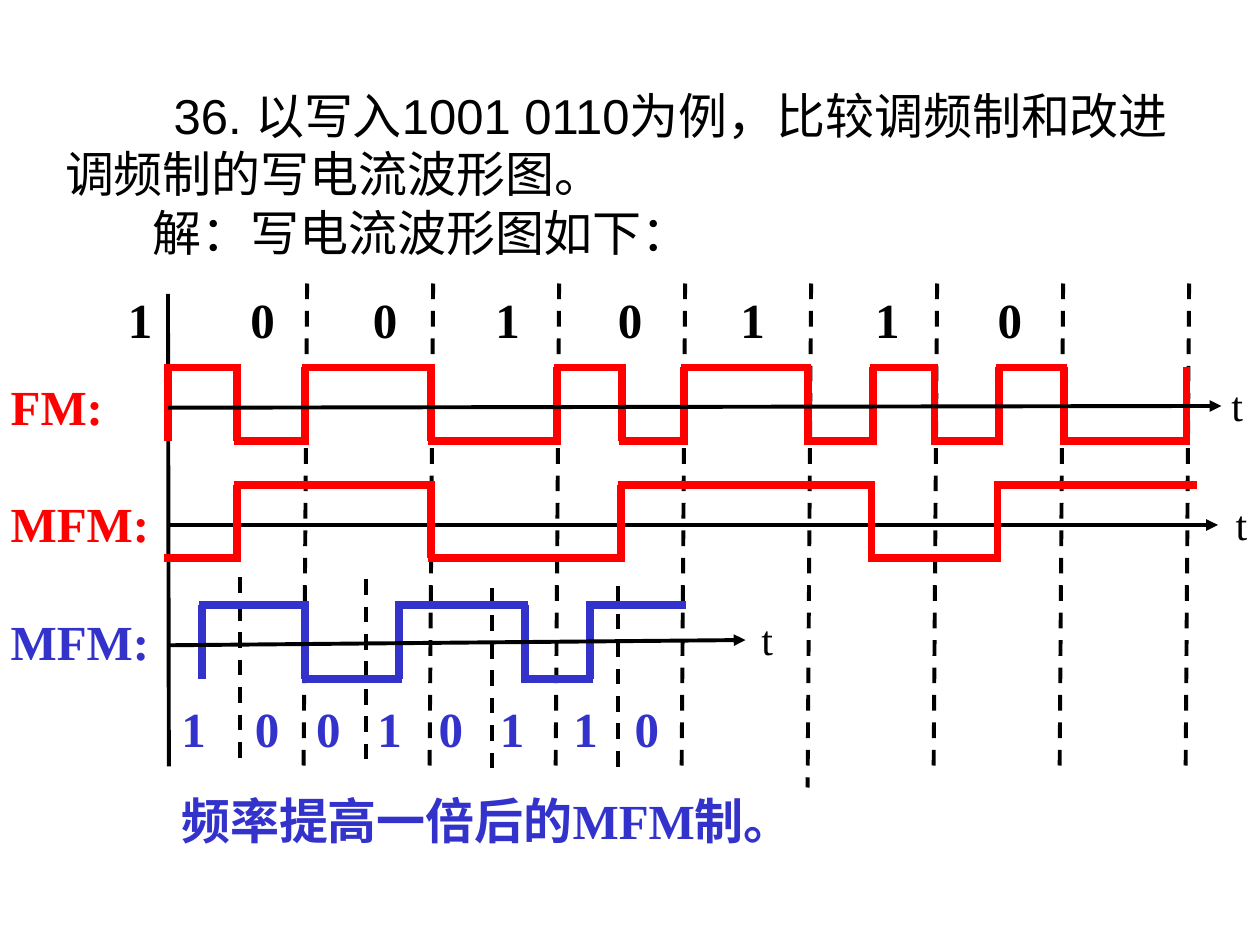
import pptx
import pptx.dml.color
import pptx.enum.dml
import pptx.enum.shapes
import pptx.enum.text
import pptx.oxml.ns
import pptx.util
from lxml import etree

Pt = pptx.util.Pt
qn = pptx.oxml.ns.qn

COLOURS = {"ink": "000000", "red": "FF0000", "blue": "3333CC"}
SERIF = "Times New Roman"
BITS = "10010110"
CELL = 72


def rgb(name):
    return pptx.dml.color.RGBColor.from_string(COLOURS[name])


def write_text(frame, text, size=28, font=SERIF, colour="ink", bold=False,
               indent=0, before=0):
    """Write one paragraph, filling the frame's empty first one if there is one."""
    para = frame.paragraphs[0]
    if para.runs:
        para = frame.add_paragraph()
    para.alignment = pptx.enum.text.PP_ALIGN.LEFT
    para.space_before = Pt(before)
    properties = para._p.get_or_add_pPr()
    properties.set("marL", "0")
    properties.set("indent", str(Pt(indent)))
    span = para.add_run()
    span.text = text
    span.font.size = Pt(size)
    span.font.name = font
    span.font.bold = bold
    span.font.color.rgb = rgb(colour)


def add_frame(page, box, wrap=True):
    frame = page.shapes.add_textbox(*map(Pt, box)).text_frame
    frame.word_wrap = wrap
    frame.auto_size = pptx.enum.text.MSO_AUTO_SIZE.SHAPE_TO_FIT_TEXT
    return frame


def add_line(page, start, end, colour="ink", width=2.25, dashed=False, arrow=False):
    line = page.shapes.add_connector(
        pptx.enum.shapes.MSO_CONNECTOR.STRAIGHT, *map(Pt, (*start, *end)))
    line.line.color.rgb = rgb(colour)
    line.line.width = Pt(width)
    if dashed:
        line.line.dash_style = pptx.enum.dml.MSO_LINE.DASH
    if arrow:
        etree.SubElement(line.line._get_or_add_ln(), qn("a:tailEnd"), type="triangle")
    etree.SubElement(line._element.spPr, qn("a:effectLst"))


def add_title(page, box):
    title = page.shapes.title
    title.left, title.top, title.width, title.height = map(Pt, box)
    frame = title.text_frame
    frame.word_wrap = True
    frame.auto_size = pptx.enum.text.MSO_AUTO_SIZE.NONE
    frame.vertical_anchor = pptx.enum.text.MSO_ANCHOR.MIDDLE
    write_text(frame, "36. 以写入1001 0110为例，比较调频制和改进调频制的写电流波形图。",
               font="Arial", indent=62)
    write_text(frame, "解：写电流波形图如下：", font="Arial", indent=50)


def add_grid(page, box):
    """Draw the time origin, the bit cell borders and the half cell borders."""
    left, top, width, height = box
    add_line(page, (left, top + 6), (left + 0.5, top + 276))
    overhangs = (-6, -6, 0, 0, 6, 0, 0, 0)
    for number, overhang in enumerate(overhangs):
        x = left + 79.5 + number * CELL
        add_line(page, (x, top), (x - 2, top + height + overhang), dashed=True)
    for number, drop in enumerate((168, 169, 174, 173)):
        x = left + 41 + number * CELL
        add_line(page, (x, top + drop), (x, top + drop + 108), dashed=True)


def add_wave(page, box, edges, colour, high=True, opening=False, closing=False):
    """Draw a square wave whose level flips at each of the edges, measured from the left."""
    left, top, _, height = box
    overlap = 2
    if opening:
        add_line(page, (left + edges[0], top), (left + edges[0], top + height), colour, 4.5)
    for start, end in zip(edges, edges[1:]):
        y = top if high else top + height
        add_line(page, (left + start - overlap, y), (left + end + overlap, y), colour, 4.5)
        high = not high
        if end != edges[-1] or closing:
            add_line(page, (left + end, top), (left + end, top + height), colour, 4.5)


def add_axis(page, box, rise=0, gap=2):
    """Draw a time axis through the middle of the box, with its letter after the arrow."""
    left, top, width, height = box
    middle = top + height / 2 + 2
    add_line(page, (left, middle), (left + width, middle - rise), arrow=True)
    frame = add_frame(page, (left + width + gap, middle - rise - 18.5, 21, 36), wrap=False)
    write_text(frame, "t", size=24)


def add_labels(page, box):
    frame = add_frame(page, box)
    for text, colour, before in (("FM:", "red", 0), ("MFM:", "red", 33.5), ("MFM:", "blue", 33.5)):
        write_text(frame, text, colour=colour, bold=True, before=before)


def add_bits(page, box, offsets, colour="ink"):
    """Place each bit at its own offset from the left of the box."""
    left, top, _, height = box
    for bit, offset in zip(BITS, offsets):
        frame = add_frame(page, (left + offset, top, 29, height), wrap=False)
        write_text(frame, bit, colour=colour, bold=True)


def add_caption(page, box):
    frame = add_frame(page, box)
    write_text(frame, "频率提高一倍后的MFM制。", colour="blue", bold=True)


def main():
    deck = pptx.Presentation()
    deck.slide_width, deck.slide_height = Pt(720), Pt(540)
    page = deck.slides.add_slide(deck.slide_layouts[5])

    # Question, grid and row names
    add_title(page, (30, 42, 666, 114))
    add_grid(page, (96, 162, 582, 282))
    add_labels(page, (-1, 211.5, 96, 176))
    add_bits(page, (66, 162, 630, 41), (0, 70, 140, 210, 280, 350, 427, 497))

    # FM signal
    fm_box = (96, 210, 602, 42)
    fm_edges = (0, 39.5, 78.5, 150.5, 222.5, 259.5, 295, 365.5, 403, 438, 475, 512, 582)
    add_wave(page, fm_box, fm_edges, "red", opening=True, closing=True)
    add_axis(page, fm_box, rise=1, gap=-1.5)

    # MFM signal
    mfm_box = (96, 277, 600, 42)
    add_axis(page, mfm_box, gap=3)
    add_wave(page, mfm_box, (0, 39.5, 150.5, 259, 402, 474, 586), "red", high=False)

    # MFM signal at double frequency
    double_box = (96, 345.5, 330, 42.5)
    add_wave(page, double_box, (19.5, 78.5, 132, 204, 241, 294), "blue", opening=True)
    add_axis(page, double_box, rise=3)
    add_bits(page, (96.5, 395.5, 377, 41), (0, 42, 77, 112, 147, 182, 224, 259), "blue")
    add_caption(page, (96.5, 448, 377, 41))

    deck.save("out.pptx")


if __name__ == "__main__":
    main()
